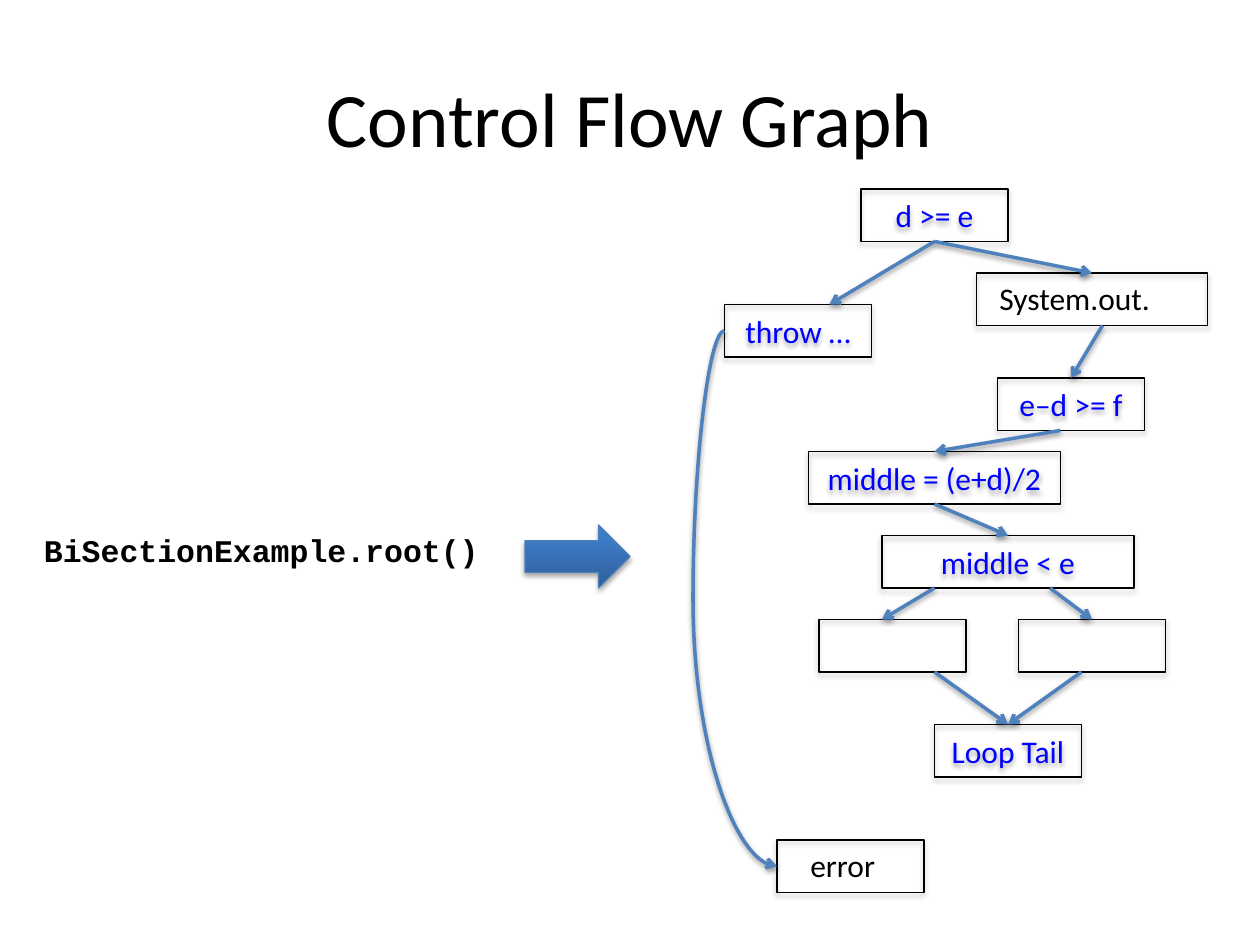
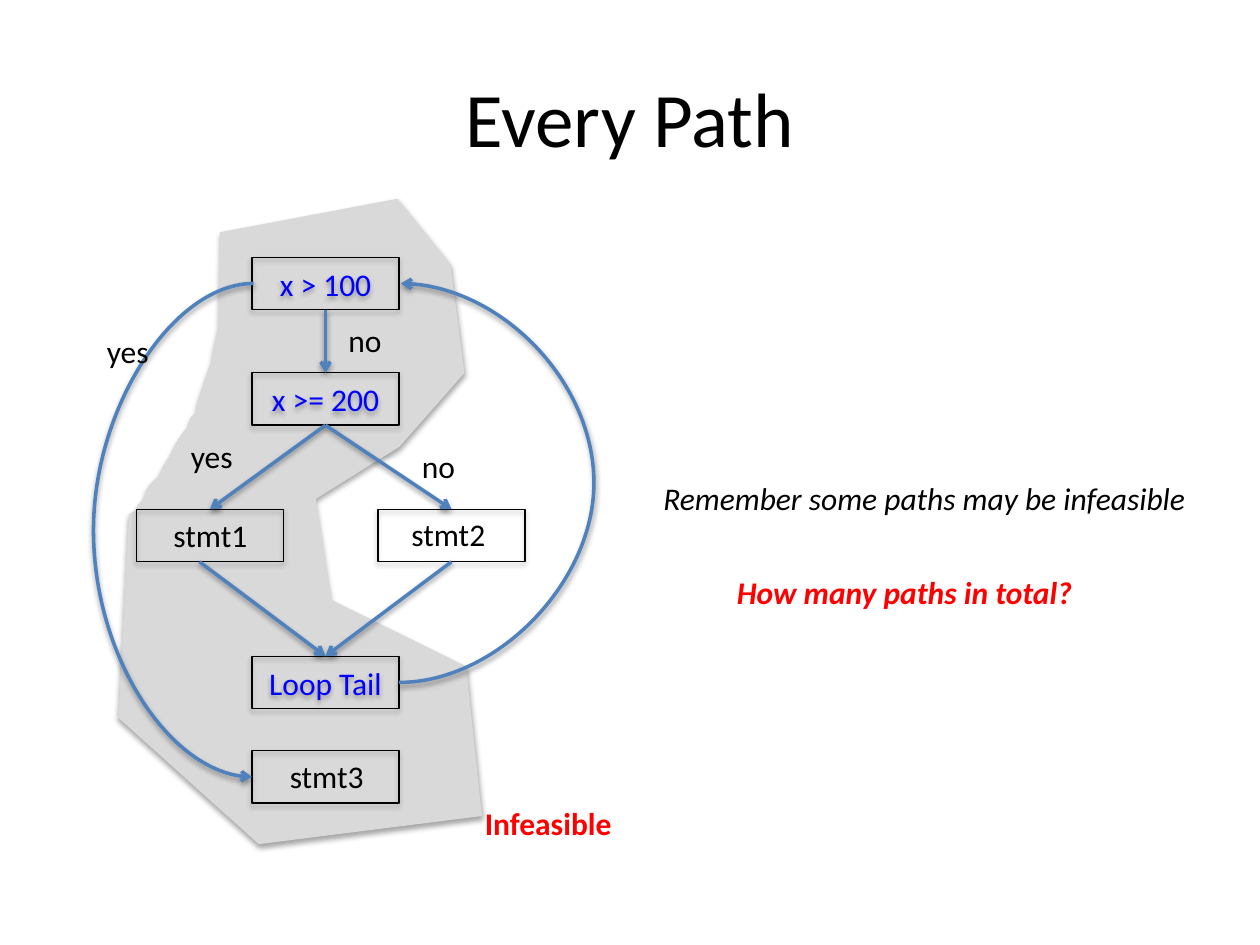
"""Build two slides on control flow graphs and path coverage."""
from pptx import Presentation
from pptx import oxml
from pptx import util as u
from pptx.dml.color import RGBColor
from pptx.enum import shapes, text
from pptx.oxml import ns

COLOURS = {
    "ink": "000000", "condition": "0000FF", "alert": "FF0000", "link": "4F81BD",
    "region": "D9D9D9", "arrow_line": "4B7EBC", "arrow_dark": "2F5F99", "arrow_light": "3D7CC7",
}
BODY = {"name": "Calibri", "size": u.Pt(18), "bold": False, "italic": False}
TITLE = {**BODY, "size": u.Pt(44)}
CODE = {**BODY, "name": "Courier New", "bold": True}
TITLE_PLACE = {"left": u.Pt(36), "top": u.Pt(21.6), "width": u.Pt(648), "height": u.Pt(90)}
NODE_WIDTH, NODE_HEIGHT, LABEL_HEIGHT = 84, 30, 29
TOP, LEFT, BOTTOM = 0, 1, 2
REGION_OUTLINE = [
    (126, 133), (125, 187), (122, 200), (121, 207), (119, 212), (117, 218), (116, 221),
    (113, 230), (112, 236), (109, 239), (107, 245), (105, 247), (101, 253), (97, 261),
    (94, 266), (91, 272), (86, 277), (84, 280), (82, 286), (79, 289), (78, 292), (74, 294),
    (68, 410), (148, 482), (275, 466), (266, 381), (189, 343), (180, 285), (228, 255),
    (265, 213), (257, 151), (227, 114),
]


def rgb(colour):
    """Return the named colour."""
    return RGBColor.from_string(COLOURS[colour])


def set_attributes(target, values):
    """Set every attribute of target that values names."""
    for name, value in values.items():
        setattr(target, name, value)


def style_text(frame, wording, style, colour, align):
    """Write one paragraph in the given style."""
    paragraph = frame.paragraphs[0]
    paragraph.text = wording
    paragraph.alignment = align
    set_attributes(paragraph.font, style)
    paragraph.font.color.rgb = rgb(colour)


def add_shadow(item, alpha, distance):
    """Give an item a soft shadow straight below it."""
    item._element.spPr.append(oxml.parse_xml(
        f'<a:effectLst {ns.nsdecls("a")}><a:outerShdw blurRad="{u.Pt(3.1)}" '
        f'dist="{u.Pt(distance)}" dir="5400000" rotWithShape="0"><a:srgbClr val="{COLOURS["ink"]}">'
        f'<a:alpha val="{alpha * 1000}"/></a:srgbClr></a:outerShdw></a:effectLst>'))


def outline(item, colour):
    """Draw a thin outline and the shadow of a solid item."""
    item.line.color.rgb = rgb(colour)
    item.line.width = u.Pt(0.75)
    add_shadow(item, 35, 1.8)


def titled_slide(deck, title):
    """Add a slide with the shared title style."""
    slide = deck.slides.add_slide(deck.slide_layouts[5])
    heading = slide.shapes.title
    set_attributes(heading, TITLE_PLACE)
    heading.text_frame.vertical_anchor = text.MSO_ANCHOR.MIDDLE
    style_text(heading.text_frame, title, TITLE, "ink", text.PP_ALIGN.CENTER)
    return slide


def node(slide, left, top, condition="", width=NODE_WIDTH):
    """Add a graph node, with its condition if it has one."""
    box = slide.shapes.add_shape(shapes.MSO_SHAPE.RECTANGLE, u.Pt(left), u.Pt(top),
                                 u.Pt(width), u.Pt(NODE_HEIGHT))
    box.fill.background()
    outline(box, "ink")
    if condition:
        box.text_frame.vertical_anchor = text.MSO_ANCHOR.MIDDLE
        style_text(box.text_frame, condition, BODY, "condition", text.PP_ALIGN.CENTER)
    return box


def label(slide, left, top, width, wording, colour="ink", style=BODY, wrap=False, **emphasis):
    """Add a line of free text."""
    area = slide.shapes.add_textbox(u.Pt(left), u.Pt(top), u.Pt(width), u.Pt(LABEL_HEIGHT))
    area.text_frame.word_wrap = wrap
    area.text_frame.auto_size = text.MSO_AUTO_SIZE.SHAPE_TO_FIT_TEXT
    style_text(area.text_frame, wording, {**style, **emphasis}, colour, text.PP_ALIGN.LEFT)


def is_joint(end):
    """Tell whether a link end is a (node, side) pair and not a point."""
    return hasattr(end[0], "text_frame")


def position(end):
    """Return the place of a link end."""
    if not is_joint(end):
        return u.Pt(end[0]), u.Pt(end[1])
    box, side = end
    across, down = {TOP: (1, 0), LEFT: (0, 1), BOTTOM: (1, 2)}[side]
    return box.left + box.width * across // 2, box.top + box.height * down // 2


def link(slide, start, end, bulge=None):
    """Add an arrow between two ends, curved when a bulge ratio is given."""
    kind = shapes.MSO_CONNECTOR.STRAIGHT if bulge is None else shapes.MSO_CONNECTOR.CURVE
    edge = slide.shapes.add_connector(kind, *position(start), *position(end))
    if is_joint(start):
        edge.begin_connect(*start)
    if is_joint(end):
        edge.end_connect(*end)
    if bulge is not None:
        guides = edge._element.spPr.prstGeom.get_or_add_avLst()
        guides.append(oxml.parse_xml(
            f'<a:gd {ns.nsdecls("a")} name="adj1" fmla="val {round(bulge * 100000)}"/>'))
    edge.line.color.rgb = rgb("link")
    edge.line.width = u.Pt(2)
    edge.line._get_or_add_ln().append(
        oxml.parse_xml(f'<a:tailEnd {ns.nsdecls("a")} type="arrow"/>'))
    add_shadow(edge, 38, 1.6)


def block_arrow(slide, left, top, width, height):
    """Add the shaded arrow from the method to its graph."""
    arrow = slide.shapes.add_shape(shapes.MSO_SHAPE.RIGHT_ARROW, u.Pt(left), u.Pt(top),
                                   u.Pt(width), u.Pt(height))
    arrow.fill.gradient()
    arrow.fill.gradient_angle = 90
    for stop, place, colour in zip(arrow.fill.gradient_stops, (0, 0.8),
                                   ("arrow_dark", "arrow_light")):
        stop.position = place
        stop.color.rgb = rgb(colour)
    outline(arrow, "arrow_line")


def path_region(slide):
    """Shade the infeasible path behind the graph."""
    builder = slide.shapes.build_freeform(*REGION_OUTLINE[0], scale=u.Pt(1))
    builder.add_line_segments(REGION_OUTLINE[1:], close=True)
    region = builder.convert_to_shape()
    region.fill.solid()
    region.fill.fore_color.rgb = rgb("region")
    outline(region, "region")


def control_flow_slide(deck):
    """Build the control flow graph of the root method."""
    slide = titled_slide(deck, "Control Flow Graph")
    label(slide, 18, 300, 270, "BiSectionExample.root()", style=CODE, wrap=True)
    block_arrow(slide, 300, 300, 60, 36)

    order_check = node(slide, 492, 108, "d >= e")
    throw = node(slide, 414, 174, "throw …")
    output = node(slide, 558, 156, width=132)
    loop_check = node(slide, 570, 216, "e–d >= f")
    midpoint = node(slide, 462, 258, "middle = (e+d)/2", width=144)
    side_check = node(slide, 504, 306, "middle < e", width=144)
    node(slide, 468, 354)
    right_branch = node(slide, 582, 354)
    loop_tail = node(slide, 534, 414, "Loop Tail")
    error = node(slide, 444, 480)
    label(slide, 564, 156, 102, "System.out.")
    label(slide, 456, 480, 52, "error")

    for start, end in [
        ((order_check, BOTTOM), (474, 174)),
        ((order_check, BOTTOM), (output, TOP)),
        ((630, 186), (loop_check, TOP)),
        ((606, 246), (midpoint, TOP)),
        ((midpoint, BOTTOM), (side_check, TOP)),
        ((534, 336), (504, 354)),
        ((600, 336), (right_branch, TOP)),
        ((534, 384), (loop_tail, TOP)),
        ((618, 384), (loop_tail, TOP)),
    ]:
        link(slide, start, end)
    link(slide, (throw, LEFT), (error, LEFT), bulge=-0.6)


def every_path_slide(deck):
    """Build the graph with its infeasible path."""
    slide = titled_slide(deck, "Every Path")
    path_region(slide)

    node_column = 144
    first_check = node(slide, node_column, 147, "x > 100")
    second_check = node(slide, node_column, 213, "x >= 200")
    first_branch = node(slide, 78, 291)
    second_branch = node(slide, 216, 291)
    loop_tail = node(slide, node_column, 375, "Loop Tail")
    node(slide, node_column, 429)

    for start, end in [
        ((first_check, BOTTOM), (second_check, TOP)),
        ((second_check, BOTTOM), (first_branch, TOP)),
        ((second_check, BOTTOM), (second_branch, TOP)),
        ((114, 321), (loop_tail, TOP)),
        ((second_branch, BOTTOM), (loop_tail, TOP)),
    ]:
        link(slide, start, end)
    link(slide, (228, 390), (229, 162), bulge=112.29)
    link(slide, (145, 162), (144, 444), bulge=92.29)

    for left, top, width, wording in [
        (92, 291.5, 58, "stmt1"), (228, 291, 58, "stmt2"), (158.5, 429, 58, "stmt3"),
        (54, 186, 39, "yes"), (192, 180, 34, "no"), (102, 246, 39, "yes"), (234, 252, 34, "no"),
    ]:
        label(slide, left, top, width, wording)
    label(slide, 372, 270, 320, "Remember some paths may be infeasible", italic=True)
    label(slide, 270, 456, 89, "Infeasible", "alert", bold=True)
    label(slide, 414, 324, 213, "How many paths in total?", "alert", bold=True, italic=True)


def main():
    """Build and save the deck."""
    deck = Presentation()
    set_attributes(deck, {"slide_width": u.Pt(720), "slide_height": u.Pt(540)})
    control_flow_slide(deck)
    every_path_slide(deck)
    deck.save("out.pptx")


if __name__ == "__main__":
    main()
